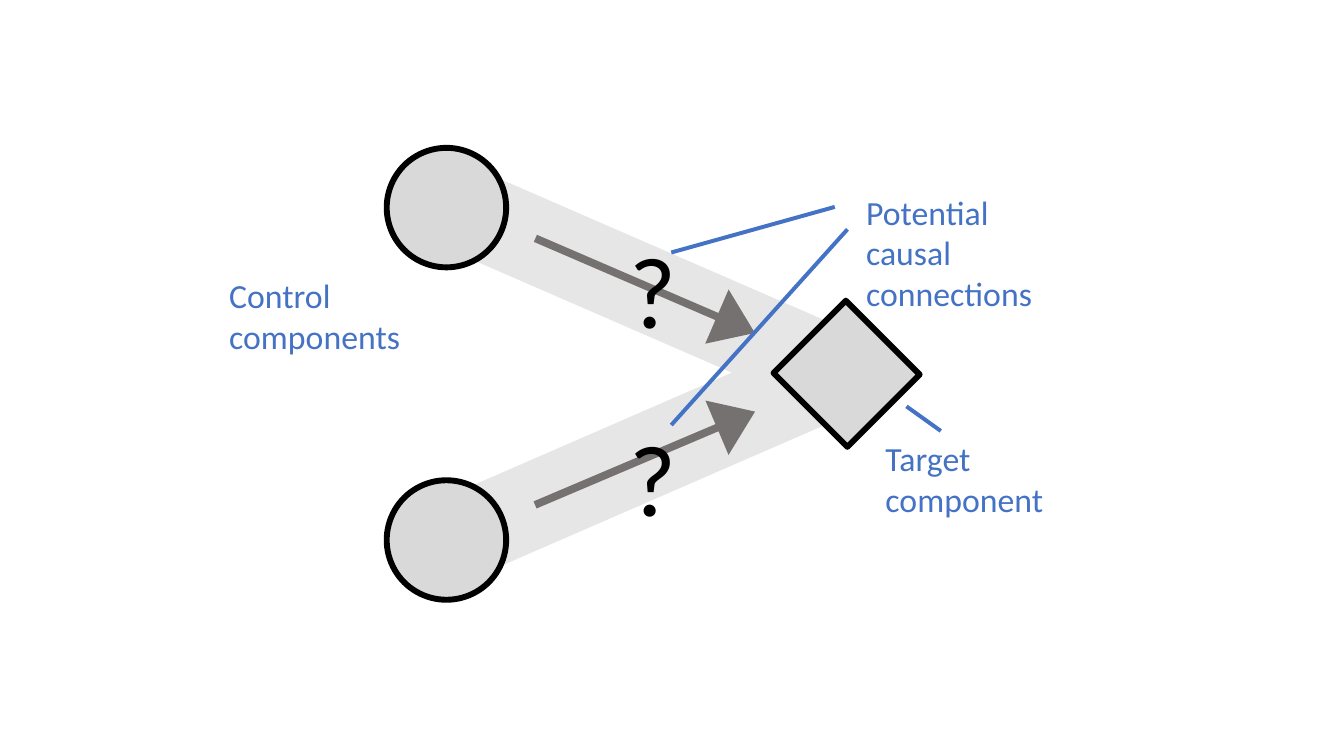
from lxml import etree
from pptx import Presentation
from pptx import util as u
from pptx.dml.color import RGBColor
from pptx.enum import shapes
from pptx.oxml import ns

COLORS = {"band": "E7E6E6", "node": "D9D9D9", "outline": "000000",
          "arrow": "767171", "label": "4472C4"}
KIND = shapes.MSO_SHAPE

deck = Presentation()
deck.slide_width, deck.slide_height = u.Cm(18), u.Cm(10)
page = deck.slides.add_slide(deck.slide_layouts[6])


def add_figure(kind, place, fill, angle=0, outlined=False):
    """Add a filled shape; place is left, top, width, height in cm."""
    figure = page.shapes.add_shape(kind, *map(u.Cm, place))
    figure.shadow.inherit = False
    figure.rotation = angle
    figure.fill.solid()
    figure.fill.fore_color.rgb = RGBColor.from_string(COLORS[fill])
    if outlined:
        figure.line.color.rgb = RGBColor.from_string(COLORS["outline"])
        figure.line.width = u.Pt(2.25)
    else:
        figure.line.fill.background()
    return figure


def add_label(words, place, size, color):
    box = page.shapes.add_textbox(*map(u.Cm, place))
    box.text_frame.word_wrap = True
    para = box.text_frame.paragraphs[0]
    para.text = words
    formats = {"name": "Calibri", "size": u.Pt(size)}
    for name, value in formats.items():
        setattr(para.font, name, value)
    para.font.color.rgb = RGBColor.from_string(COLORS[color])


# Bands, control circles and target
for top, angle in [(5.61, -23.5), (3.23, 23.5)]:
    add_figure(KIND.RECTANGLE, (5.36, top, 6.27, 1.14), "band", angle)
for top in (1.98, 6.43):
    add_figure(KIND.OVAL, (5.18, top, 1.6, 1.6), "node", outlined=True)
add_figure(KIND.RECTANGLE, (10.64, 4.32, 1.4, 1.37), "node", 45, outlined=True)

# Causal arrows with question marks
for top, angle in [(5.74, -23), (3.43, 23.3)]:
    arrow = add_figure(KIND.RIGHT_ARROW, (7.04, top, 3.2, 0.79), "arrow", angle)
    arrow.adjustments[0] = 0.13
    arrow.adjustments[1] = 0.7
for top in (2.92, 5.44):
    add_label("?", (8.18, top, 0.99, 1.9), 38.4, "outline")

# Pointer lines and labels
for ends in [(12.14, 5.44, 12.6, 5.77), (8.99, 5.69, 11.35, 3.07),
             (8.99, 3.38, 11.18, 2.77)]:
    pointer = page.shapes.add_connector(
        shapes.MSO_CONNECTOR.STRAIGHT, *map(u.Cm, ends))
    pointer.line.color.rgb = RGBColor.from_string(COLORS["label"])
    pointer.line.width = u.Pt(1.5)
    etree.SubElement(pointer._element.spPr, ns.qn("a:effectLst"))
for words, place in [
    ("Target component", (11.61, 5.74, 3.78, 1.35)),
    ("Control components", (2.82, 3.56, 3.68, 1.35)),
    ("Potential causal connections", (11.35, 2.44, 3.18, 1.9)),
]:
    add_label(words, place, 12.8, "label")

deck.save("out.pptx")
